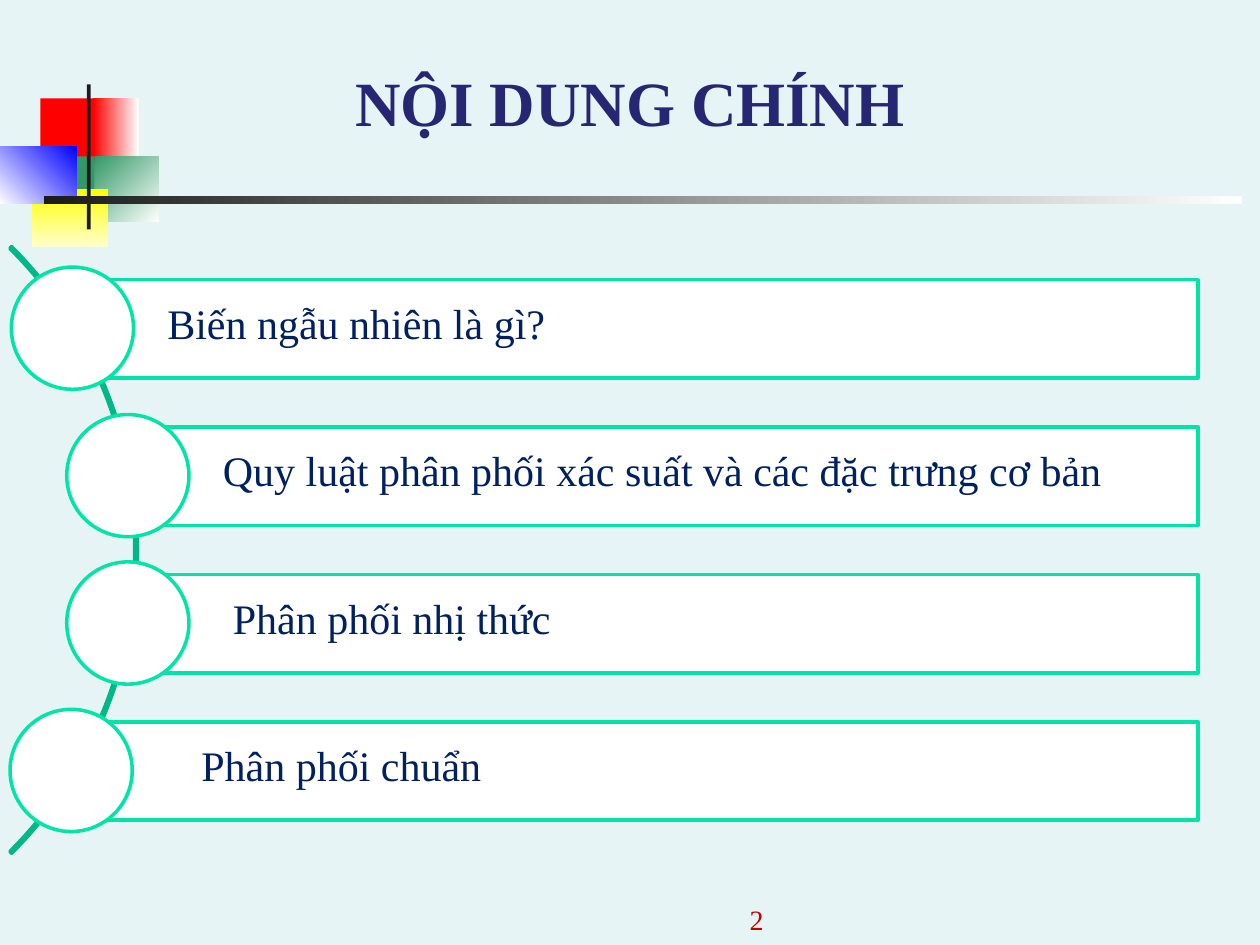
from dataclasses import dataclass

from pptx import Presentation
from pptx.dml.color import RGBColor
from pptx.enum.shapes import MSO_SHAPE
from pptx.enum.text import MSO_ANCHOR, PP_ALIGN
from pptx.util import Inches, Pt


@dataclass(frozen=True)
class Theme:
    font: str = "Times New Roman"
    background: str = "E7F4F5"
    title: str = "262673"
    body: str = "002060"
    number: str = "C00000"
    white: str = "FFFFFF"
    outline: str = "00E4A8"
    arc: str = "00B787"
    red: str = "FF0000"
    green: str = "339966"
    yellow: str = "FFFF00"
    pale_yellow: str = "FFFFCC"
    blue: str = "0000FF"
    dark: str = "1C1C1C"
    title_size: int = 36
    body_size: int = 24
    number_size: int = 16
    line_width: int = 2


class SlideBuilder:
    def __init__(self, slide, theme):
        self.slide = slide
        self.theme = theme

    def background(self):
        fill = self.slide.background.fill
        fill.solid()
        fill.fore_color.rgb = RGBColor.from_string(self.theme.background)

    def shape(self, kind, box, color=None, line=None):
        shape = self.slide.shapes.add_shape(kind, *map(Inches, box))
        shape.shadow.inherit = False
        if color:
            shape.fill.solid()
            shape.fill.fore_color.rgb = RGBColor.from_string(color)
        else:
            shape.fill.background()
        if line:
            shape.line.color.rgb = RGBColor.from_string(line)
            shape.line.width = Pt(self.theme.line_width)
        else:
            shape.line.fill.background()
        return shape

    def gradient(self, box, start, end, clockwise_angle):
        shape = self.shape(MSO_SHAPE.RECTANGLE, box)
        shape.fill.gradient()
        shape.fill.gradient_angle = (360 - clockwise_angle) % 360
        for stop, color in zip(shape.fill.gradient_stops, (start, end)):
            stop.color.rgb = RGBColor.from_string(color)

    def arc(self, box):
        shape = self.shape(MSO_SHAPE.BLOCK_ARC, box, line=self.theme.arc)
        for index, value in enumerate((189, 27, 0.003)):
            shape.adjustments[index] = value

    def text(self, box, text, size, color, bold=False,
             align=PP_ALIGN.LEFT, anchor=MSO_ANCHOR.TOP):
        frame = self.slide.shapes.add_textbox(*map(Inches, box)).text_frame
        frame.word_wrap = True
        frame.vertical_anchor = anchor
        frame.text = text
        paragraph = frame.paragraphs[0]
        paragraph.alignment = align
        font = paragraph.runs[0].font
        font.name = self.theme.font
        font.size = Pt(size)
        font.bold = bold
        font.color.rgb = RGBColor.from_string(color)


def main():
    presentation = Presentation()
    presentation.slide_width = Inches(10)
    presentation.slide_height = Inches(7.5)
    slide = presentation.slides.add_slide(presentation.slide_layouts[6])
    theme = Theme()
    builder = SlideBuilder(slide, theme)
    builder.background()

    # Corner ornament and rule
    rectangle = MSO_SHAPE.RECTANGLE
    builder.shape(rectangle, (0.32, 0.78, 0.48, 0.52), theme.red)
    builder.gradient((0.74, 0.78, 0.36, 0.52), theme.red, theme.white, 0)
    builder.gradient((0.75, 1.24, 0.51, 0.52), theme.green, theme.white, 45)
    builder.shape(rectangle, (0.43, 1.24, 0.32, 0.52), theme.green)
    builder.gradient((0.25, 1.5, 0.61, 0.46), theme.yellow, theme.pale_yellow, 90)
    builder.gradient((0, 1.16, 0.61, 0.46), theme.white, theme.blue, 315)
    builder.shape(rectangle, (0.69, 0.67, 0.03, 1.15), theme.dark)
    builder.gradient((0.35, 1.56, 9.51, 0.06), theme.dark, theme.white, 0)

    # Title and slide number
    builder.text((0, 0.42, 10, 0.73), "NỘI DUNG CHÍNH", theme.title_size,
                 theme.title, True, PP_ALIGN.CENTER, MSO_ANCHOR.BOTTOM)
    builder.text((3.83, 7.08, 2.33, 0.4), "2", theme.number_size,
                 theme.number, align=PP_ALIGN.RIGHT, anchor=MSO_ANCHOR.BOTTOM)

    # Curved list: bar left, circle left, text left, text width, topic
    builder.arc((-5.72, 0.96, 6.81, 6.81))
    topics = [
        (0.57, 0.09, 1.23, 8.75, "Biến ngẫu nhiên là gì?"),
        (1.02, 0.53, 1.67, 7.33,
         "Quy luật phân phối xác suất và các đặc trưng cơ bản"),
        (1.02, 0.53, 1.75, 7.33, "Phân phối nhị thức"),
        (0.57, 0.08, 1.5, 7.37, "Phân phối chuẩn"),
    ]
    bar_right, first_top, pitch, diameter = 9.51, 2.22, 1.17, 0.97
    for row, (bar_left, circle_left, text_left, text_width, topic) in enumerate(topics):
        top = first_top + row * pitch
        builder.shape(rectangle, (bar_left, top, bar_right - bar_left, 0.78),
                      theme.white, theme.outline)
        builder.shape(MSO_SHAPE.OVAL, (circle_left, top - 0.1, diameter, diameter),
                      theme.white, theme.outline)
        builder.text((text_left, top + 0.09, text_width, 0.5), topic,
                     theme.body_size, theme.body)

    presentation.save("out.pptx")


if __name__ == "__main__":
    main()
